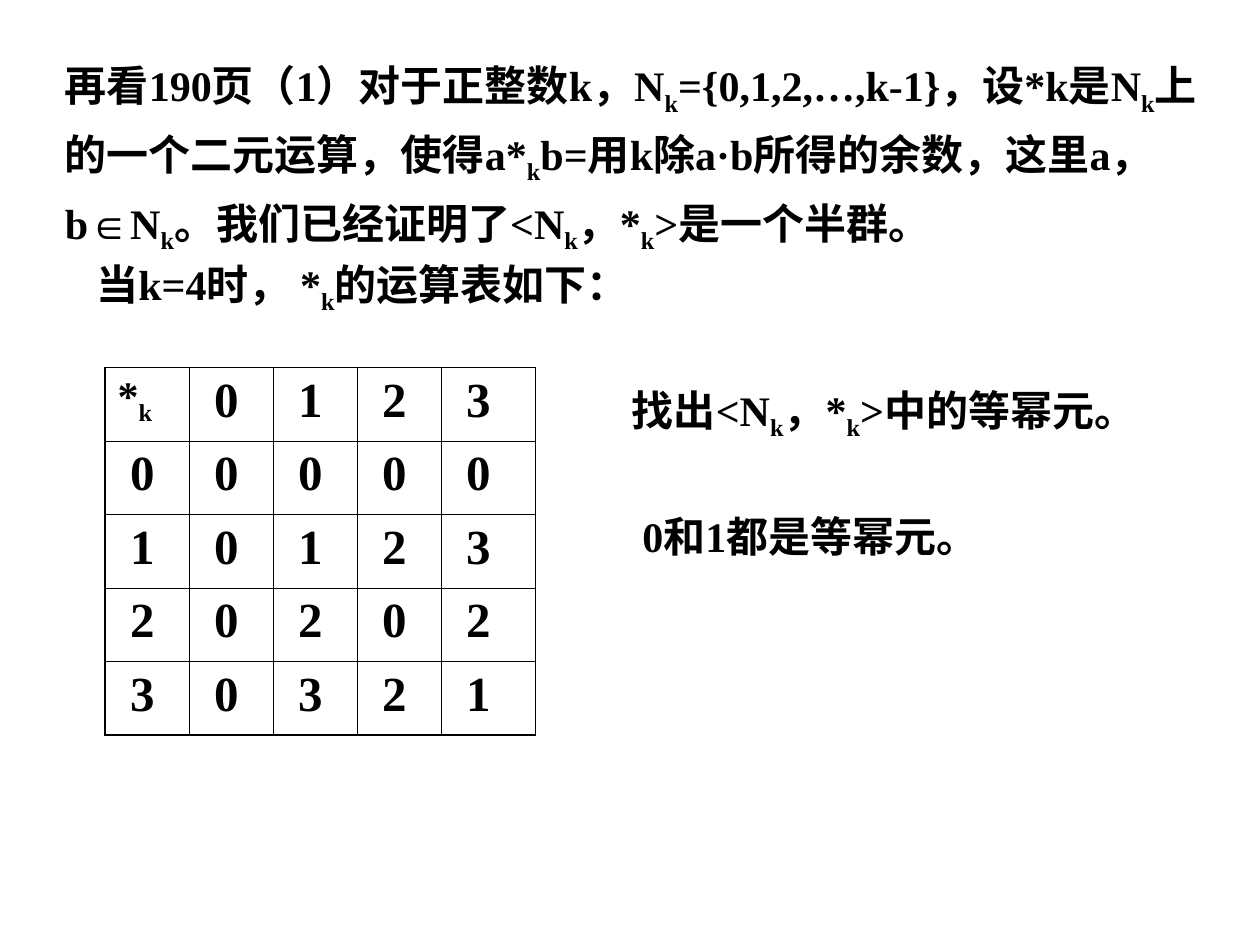
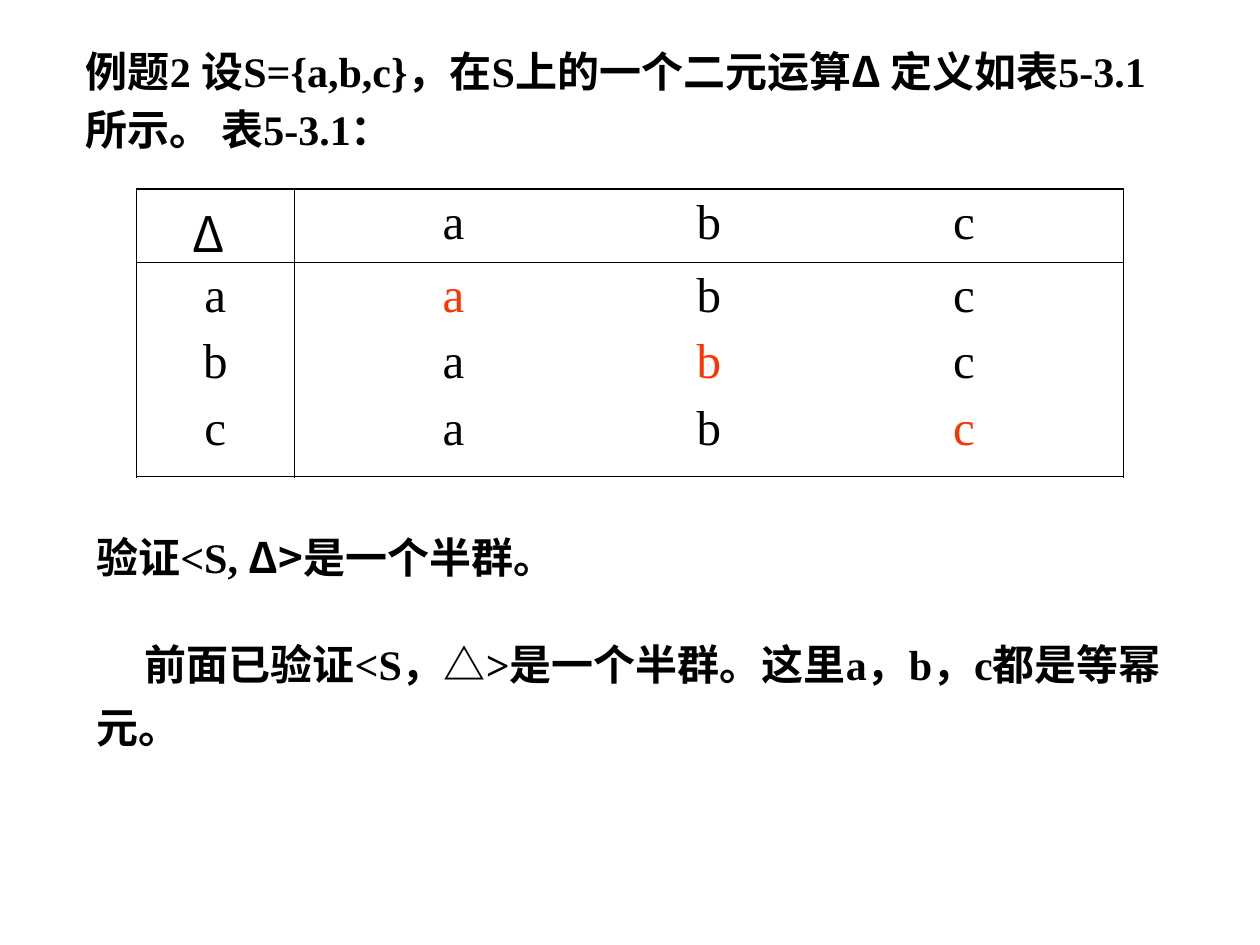
from itertools import product
from lxml import etree
from pptx import Presentation
from pptx import util as u
from pptx.dml import color
from pptx.enum import text
from pptx.oxml import ns

PX = 7620
HUE = {"ink": "000000", "red": "FF3300"}
FACE = {"serif": "Times New Roman", "han": "Noto Sans CJK SC"}
BODY = {"size": u.Pt(24), "bold": True, "name": FACE["serif"]}
DIGIT = {**BODY, "size": u.Pt(28)}
PLAIN = {**DIGIT, "bold": False}
RED = {"hue": "red"}
HAN = {"name": FACE["han"]}
EDGE = {"outer": u.Pt(1.08), "inner": u.Pt(0.45)}
MID, STEP = 383, 243


def px(num):
    return u.Emu(num * PX)


def put(obj, vals):
    for key, val in vals.items():
        setattr(obj, key, val)


def node(base, tag, **vals):
    return etree.SubElement(base, ns.qn(tag), {k: str(v) for k, v in vals.items()})


def sub(line):
    head, *rest = line.split("_")
    parts = [(head, {})]
    for bit in rest:
        parts.append((bit[0], {"base": -25000}))
        if bit[1:]:
            parts.append((bit[1:], {}))
    return parts


def write(para, parts, look):
    for words, diff in parts:
        form = {**look, **diff}
        base = form.pop("base", None)
        hue = form.pop("hue", "ink")
        run = para.add_run()
        run.text = words
        put(run.font, form)
        run.font.color.rgb = color.RGBColor.from_string(HUE[hue])
        props = run.font._element
        node(props, "a:ea", typeface=FACE["han"])
        if base:
            props.set("baseline", str(base))


def note(slide, box, parts, lead=1.0, dent=0):
    frame = slide.shapes.add_textbox(*map(px, box)).text_frame
    put(frame, {"word_wrap": True, "auto_size": text.MSO_AUTO_SIZE.SHAPE_TO_FIT_TEXT})
    para = frame.paragraphs[0]
    para.line_spacing = lead
    if dent:
        para._p.get_or_add_pPr().set("indent", str(px(dent)))
    write(para, parts, BODY)


def rule(cell, row, col, rows, cols):
    cell.fill.background()
    props = cell._tc.get_or_add_tcPr()
    sides = {"L": col == 0, "R": col == cols - 1, "T": row == 0, "B": row == rows - 1}
    for spot, (side, outer) in enumerate(sides.items()):
        line = node(props, f"a:ln{side}", w=EDGE["outer" if outer else "inner"])
        node(node(line, "a:solidFill"), "a:srgbClr", val=HUE["ink"])
        props.insert(spot, line)


def grid(slide, spot, wides, highs):
    rows, cols = len(highs), len(wides)
    size = sum(wides), sum(highs)
    table = slide.shapes.add_table(rows, cols, *map(px, spot + size)).table
    put(table, {"first_row": False, "horz_banding": False})
    for col, wide in zip(table.columns, wides):
        col.width = px(wide)
    for row, high in zip(table.rows, highs):
        row.height = px(high)
    for row, col in product(range(rows), range(cols)):
        rule(table.cell(row, col), row, col, rows, cols)
    return table


def fill(cell, lines, look, align=None, stops=()):
    frame = cell.text_frame
    for num, parts in enumerate(lines):
        para = frame.add_paragraph() if num else frame.paragraphs[0]
        para.alignment = align
        if num:
            para.space_before = u.Pt(7)
        if stops:
            tabs = node(para._p.get_or_add_pPr(), "a:tabLst")
            for stop in stops:
                node(tabs, "a:tab", pos=px(stop), algn="ctr")
        write(para, parts, look)


def times(slide, spot):
    table = grid(slide, spot, [80] * 4 + [90], [70] * 5)
    fill(table.cell(0, 0), [sub("*_k")], BODY)
    for row, col in product(range(5), repeat=2):
        if row or col:
            if row and col:
                value = (row - 1) * (col - 1) % 4
            else:
                value = row + col - 1
            cell = table.cell(row, col)
            cell.margin_left = px(24)
            fill(cell, [[(str(value), {})]], DIGIT)


def delta(slide, spot):
    table = grid(slide, spot, [150, 790], [70, 204])
    names = "abc"
    stops = [MID + STEP * n for n in (-1, 0, 1)]
    mid = text.PP_ALIGN.CENTER
    corner = table.cell(0, 0)
    corner.margin_right = px(24)
    fill(corner, [[("Δ", HAN)]], PLAIN, mid)
    fill(table.cell(1, 0), [[(name, {})] for name in names], PLAIN, mid)
    head = [("\t" + name, {}) for name in names]
    fill(table.cell(0, 1), [head], PLAIN, stops=stops)
    lines = [[("\t" + name, RED if name == own else {}) for name in names] for own in names]
    fill(table.cell(1, 1), lines, PLAIN, stops=stops)


def modular(slide):
    note(slide, (50, 40, 1120, 209), sub(
        "再看190页（1）对于正整数k，N_k={0,1,2,…,k-1}，设*k是N_k上的一个二元运算，"
        "使得a*_kb=用k除a·b所得的余数，这里a，b∈N_k。"
        "我们已经证明了<N_k，*_k>是一个半群。"), lead=1.2)
    note(slide, (80, 240, 610, 67), sub("当k=4时， *_k的运算表如下："))
    times(slide, (100, 350))
    note(slide, (590, 360, 540, 67), sub("找出<N_k，*_k>中的等幂元。"))
    note(slide, (600, 480, 540, 60), sub("0和1都是等幂元。"))


def example(slide):
    note(slide, (70, 30, 1070, 122), [
        ("例题2 设S={a,b,c}，在S上的一个二元运算", {}), ("Δ ", HAN),
        ("定义如表5-3.1所示。 表5-3.1：", {})], lead=1.15)
    delta(slide, (130, 180))
    note(slide, (80, 500, 490, 60), [("验证<S, ", {}), ("Δ>是一个半群。", HAN)])
    note(slide, (80, 590, 1050, 132), [
        ("前面已验证<S，△>是一个半群。这里a，b，c都是等幂元。", {})], lead=1.25, dent=46)


def main():
    deck = Presentation()
    put(deck, {"slide_width": px(1200), "slide_height": px(900)})
    for draw in (modular, example):
        draw(deck.slides.add_slide(deck.slide_layouts[6]))
    deck.save("out.pptx")


if __name__ == "__main__":
    main()
